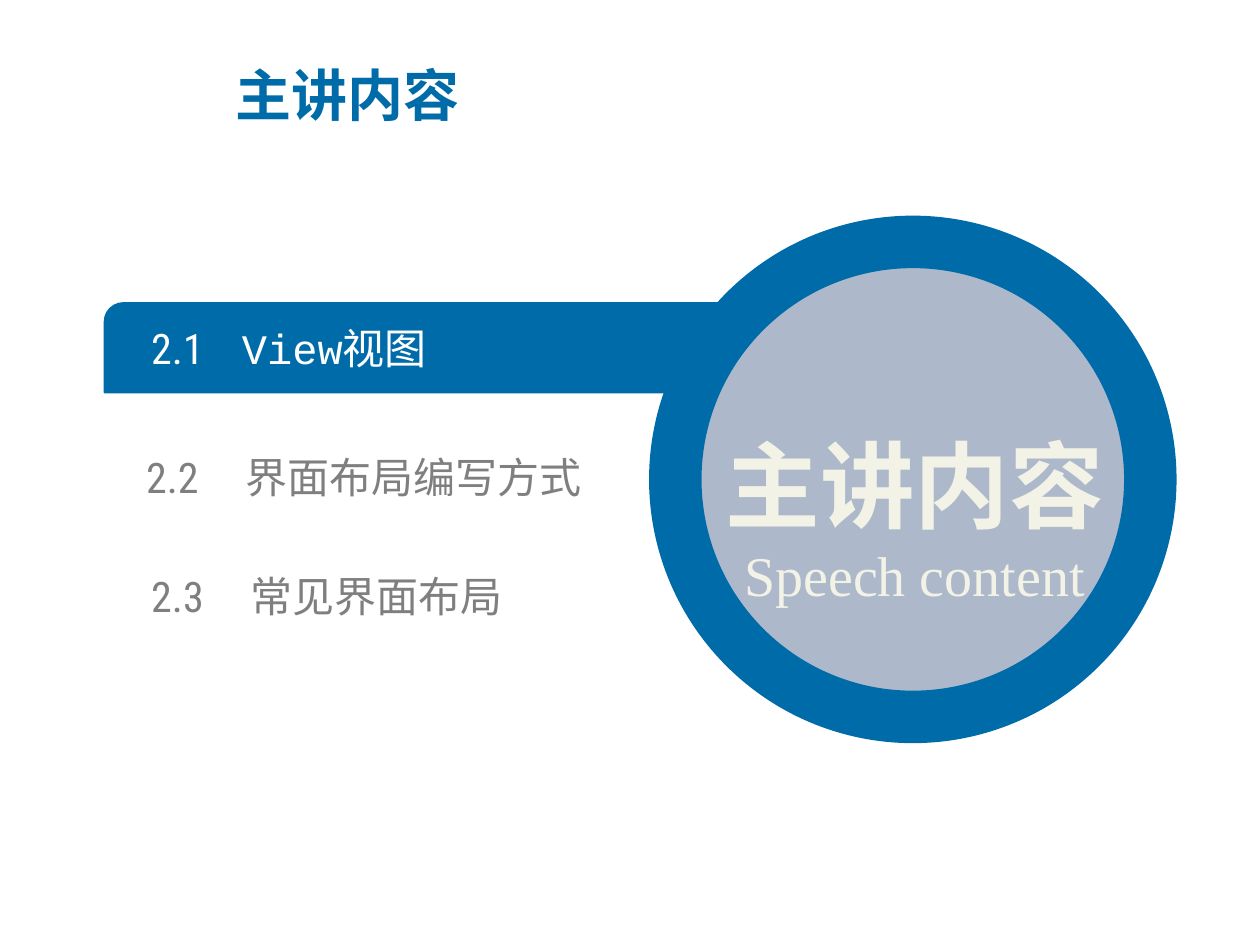
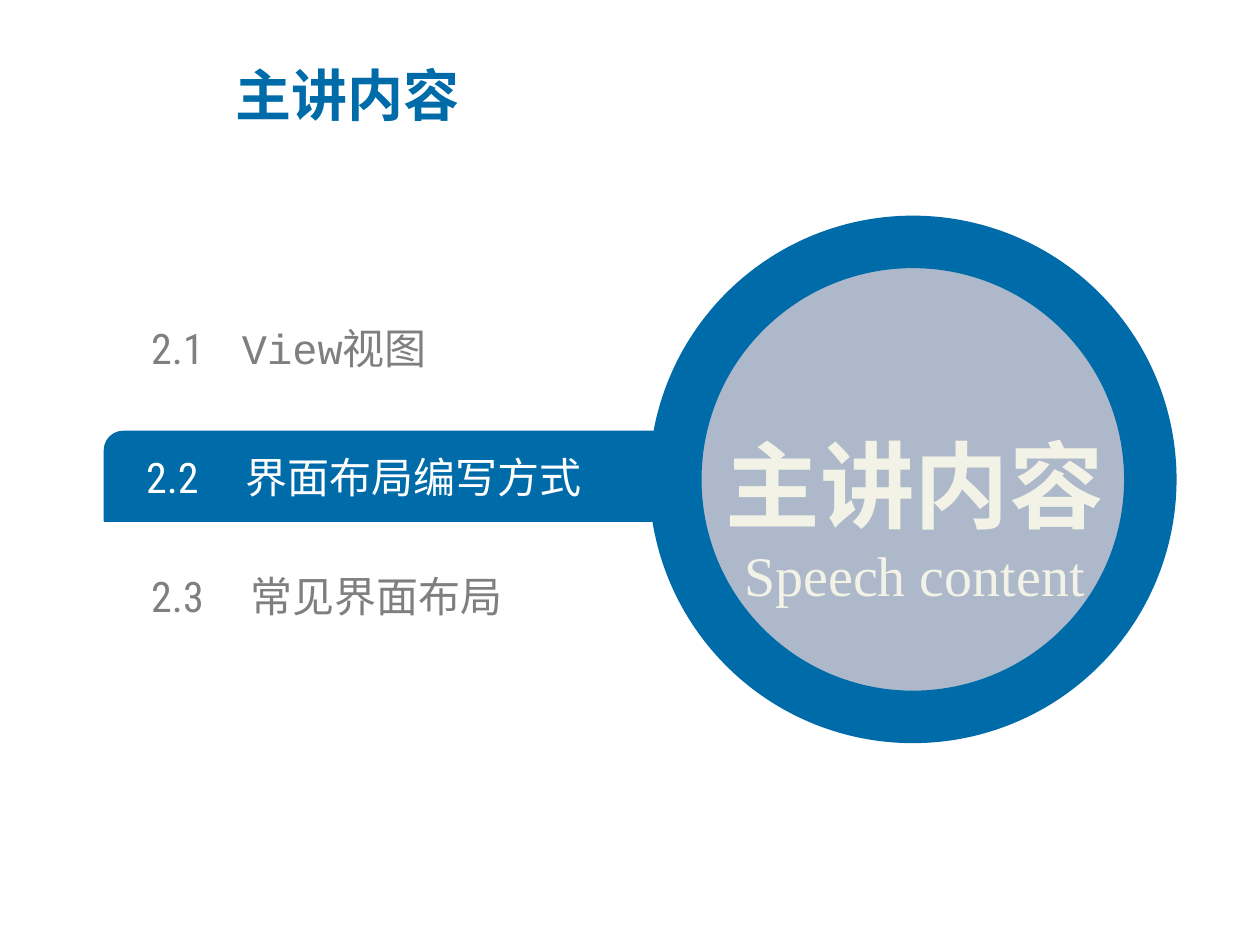
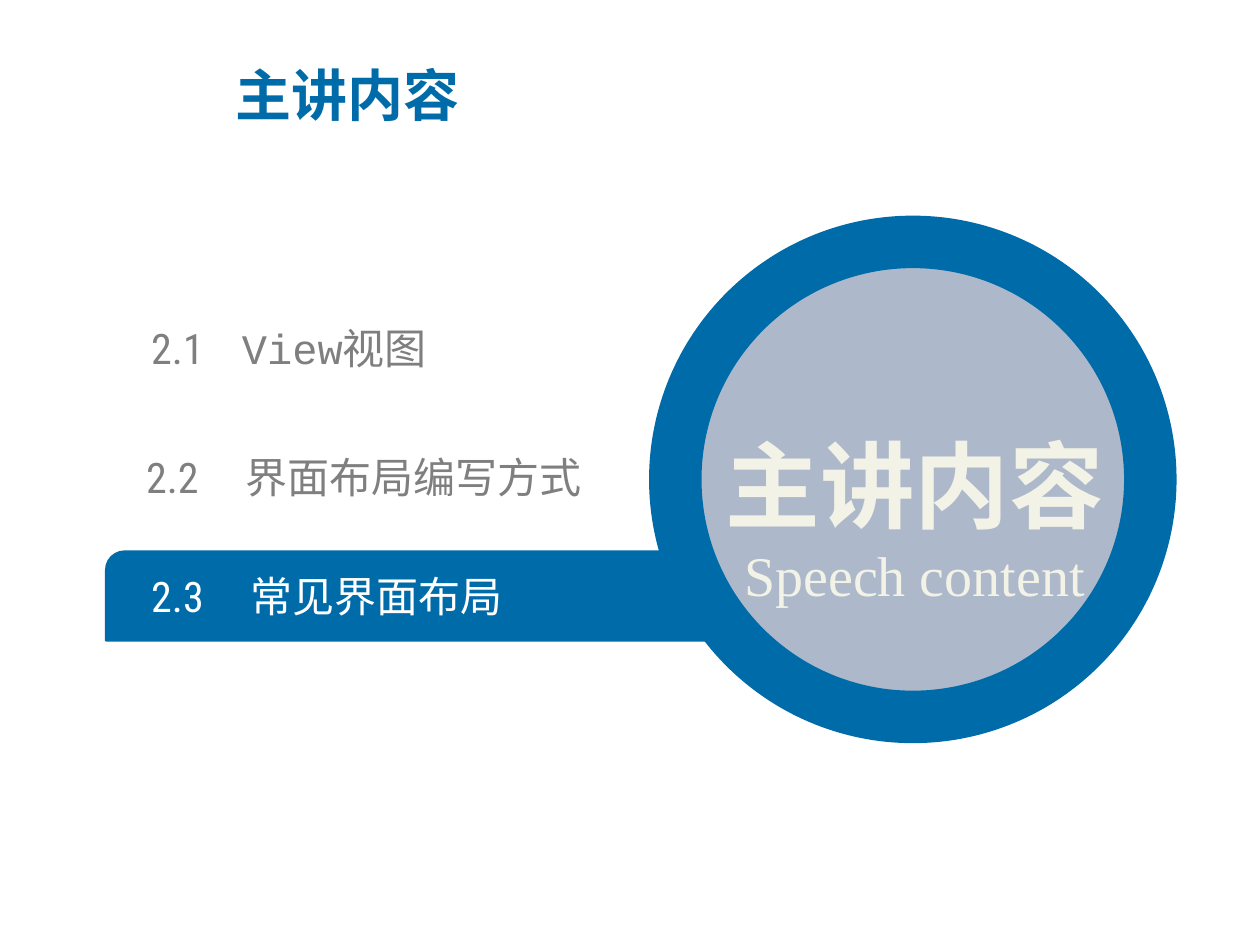
"""Builds three agenda slides, each with one topic marked by a bar."""
from lxml.etree import SubElement
from pptx import Presentation
from pptx.dml.color import RGBColor
from pptx.enum.shapes import MSO_SHAPE
from pptx.enum.text import MSO_ANCHOR, MSO_AUTO_SIZE, PP_ALIGN
from pptx.oxml.ns import qn
from pptx.util import Inches, Pt

COLS, ROWS = 100, 75
BLUE, MIST, CREAM, GRAY, WHITE = "006BA9", "ADB9CA", "F2F2E6", "7F7F7F", "FFFFFF"
SANS, SLIM, MONO, SERIF = "Noto Sans CJK SC", "Roboto Condensed", "Courier New", "Times New Roman"
BAR_W, BAR_H, ITEM_H = 53.5, 7.1, 4
HEAD = "主讲内容"
TOPICS = [
    {"num": "2.1", "runs": [("View", MONO), ("视图", SLIM)],
     "left": 12, "mid": 27.6, "tab": 7.2, "bar": 8.3},
    {"num": "2.2", "runs": [("界面布局编写方式", SLIM)],
     "left": 11.6, "mid": 37.8, "tab": 7.9, "bar": 8.3},
    {"num": "2.3", "runs": [("常见界面布局", SLIM)],
     "left": 12, "mid": 47.3, "tab": 7.9, "bar": 8.4},
]


def tint(code):
    return RGBColor.from_string(code)


def apply(target, values):
    for name, value in values.items():
        setattr(target, name, value)


class Deck:
    def __init__(self):
        self.file = Presentation()
        apply(self.file, {"slide_width": Inches(10), "slide_height": Inches(7.5)})
        self.page = None

    def add(self):
        self.page = self.file.slides.add_slide(self.file.slide_layouts[6])

    def wide(self, cols):
        return round(self.file.slide_width * cols / COLS)

    def high(self, rows):
        return round(self.file.slide_height * rows / ROWS)

    def frame(self, left, top, width, height):
        return self.wide(left), self.high(top), self.wide(width), self.high(height)

    def shape(self, kind, place, fill, edge, adjust=()):
        item = self.page.shapes.add_shape(kind, *self.frame(*place))
        item.shadow.inherit = False
        item.fill.solid()
        item.fill.fore_color.rgb = tint(fill)
        item.line.color.rgb = tint(BLUE)
        item.line.width = Pt(edge)
        for index, value in enumerate(adjust):
            item.adjustments[index] = value

    def text(self, place, lines, color, **values):
        frame = self.page.shapes.add_textbox(*self.frame(*place)).text_frame
        apply(frame, {"word_wrap": True, "vertical_anchor": MSO_ANCHOR.MIDDLE, **values})
        for index, (runs, form) in enumerate(lines):
            para = frame.add_paragraph() if index else frame.paragraphs[0]
            apply(para, form)
            for words, font, size, bold in runs:
                self.run(para, words, color, {"name": font, "size": Pt(size), "bold": bold})
        return frame

    def run(self, para, words, color, form):
        run = para.add_run()
        run.text = words
        apply(run.font, form)
        run.font.color.rgb = tint(color)
        SubElement(run.font._element, qn("a:ea"), typeface=SANS)

    def title(self, words):
        self.text((17.7, 4.4, 54.1, 6.1), [([(words, SANS, 32, True)], {})], BLUE)

    def bar(self, topic):
        place = topic["bar"], topic["mid"] - BAR_H / 2, BAR_W, BAR_H
        self.shape(MSO_SHAPE.ROUND_2_DIAG_RECTANGLE, place, BLUE, 1, (0.209, 0))

    def topic(self, topic, color):
        parts = [(topic["num"] + "\t", SLIM)] + topic["runs"]
        runs = [(words, font, 24, False) for words, font in parts]
        place = topic["left"], topic["mid"] - ITEM_H / 2, 41.9, ITEM_H
        sides = dict.fromkeys(["margin_left", "margin_top", "margin_right", "margin_bottom"], 0)
        frame = self.text(place, [(runs, {})], color,
                          auto_size=MSO_AUTO_SIZE.SHAPE_TO_FIT_TEXT, **sides)
        tabs = SubElement(frame.paragraphs[0]._p.get_or_add_pPr(), qn("a:tabLst"))
        SubElement(tabs, qn("a:tab"), pos=str(self.wide(topic["tab"])), algn="l")

    def ring(self, words, under):
        self.shape(MSO_SHAPE.OVAL, (53.6, 19.2, 37.7, 37.7), MIST, 30)
        mid = {"alignment": PP_ALIGN.CENTER}
        lines = [([(words, SANS, 54, True)], {**mid, "line_spacing": 1.5}),
                 ([(under, SERIF, 32, False)], mid)]
        self.text((53.1, 28.8, 39, 20), lines, CREAM,
                  auto_size=MSO_AUTO_SIZE.SHAPE_TO_FIT_TEXT)


def main():
    deck = Deck()
    for active in TOPICS:
        deck.add()
        deck.bar(active)
        for topic in TOPICS:
            deck.topic(topic, WHITE if topic is active else GRAY)
        deck.ring(HEAD, "Speech content")
        deck.title(HEAD)
    deck.file.save("out.pptx")


if __name__ == "__main__":
    main()
